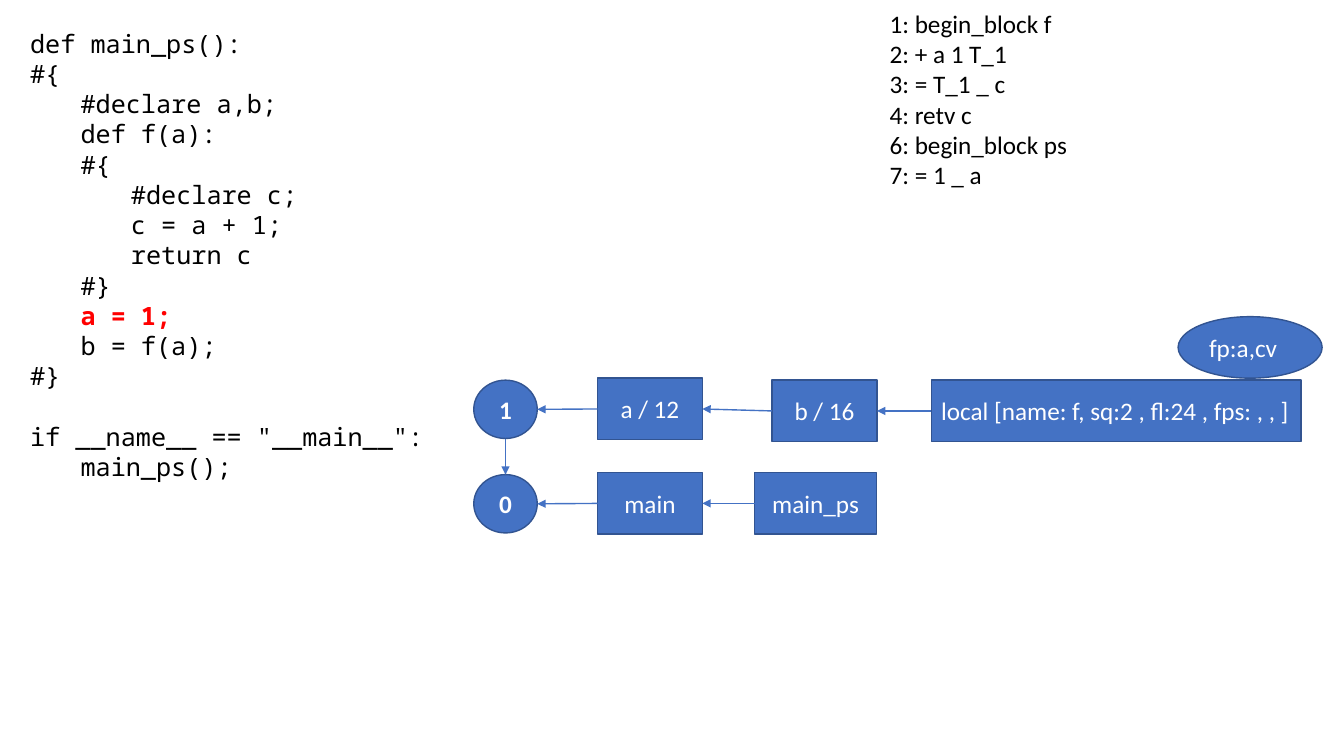
from lxml import etree
from pptx import Presentation
from pptx.dml.color import RGBColor
from pptx.enum import shapes, text
from pptx.oxml import ns
from pptx.util import Cm, Pt

BLUE, OUTLINE, BLACK, WHITE, RED = "4472C4", "325491", "000000", "FFFFFF", "FF0000"
RECTANGLE = shapes.MSO_SHAPE.RECTANGLE
OVAL = shapes.MSO_SHAPE.OVAL
CENTER = text.PP_ALIGN.CENTER
LEFT = text.PP_ALIGN.LEFT
CODE_FONT, BODY_FONT = "Noto Sans Mono", "Calibri"
BLOCK_GAP = Pt(21.6)

SOURCE_CODE = [
    "def main_ps():",
    "#{ ",
    "\t#declare a,b; ",
    "\tdef f(a):",
    "\t#{ ",
    "\t\t#declare c; ",
    "\t\tc = a + 1; ",
    "\t\treturn c ",
    "\t#} ",
    "\ta = 1; ",
    "\tb = f(a);",
    "#}",
    'if __name__ == "__main__":',
    "\tmain_ps();",
]
CURRENT_LINE = "a = 1; "
QUADS = [
    "1: begin_block f ",
    "2: + a 1 T_1 ",
    "3: = T_1 _ c",
    "4: retv c ",
    "6: begin_block ps ",
    "7: = 1 _ a ",
]


def rgb(value):
    """Turn a hex string into a colour."""
    return RGBColor.from_string(value)


def add_run(paragraph, content, font=BODY_FONT, color=BLACK, bold=False):
    """Add one formatted run to a paragraph."""
    run = paragraph.add_run()
    run.text = content
    run.font.name = font
    run.font.size = Pt(18)
    run.font.bold = bold
    run.font.color.rgb = rgb(color)


def add_listing(slide, left, top, width, height, lines, font):
    """Add a text box with one paragraph per line of the listing."""
    box = slide.shapes.add_textbox(Cm(left), Cm(top), Cm(width), Cm(height))
    frame = box.text_frame
    frame.word_wrap = True
    for index, line in enumerate(lines):
        paragraph = frame.add_paragraph() if index else frame.paragraphs[0]
        if line.startswith("if "):
            paragraph.space_before = BLOCK_GAP
        if line.strip() == CURRENT_LINE.strip():
            add_run(paragraph, "\t", font)
            add_run(paragraph, CURRENT_LINE, font, RED, bold=True)
        else:
            add_run(paragraph, line, font)


def add_node(slide, kind, left, top, width, height, label, align=CENTER, bold=False):
    """Add a blue labelled shape and return it."""
    shape = slide.shapes.add_shape(kind, Cm(left), Cm(top), Cm(width), Cm(height))
    shape.shadow.inherit = False
    shape.fill.solid()
    shape.fill.fore_color.rgb = rgb(BLUE)
    shape.line.color.rgb = rgb(OUTLINE)
    shape.line.width = Pt(1)
    frame = shape.text_frame
    frame.word_wrap = True
    frame.vertical_anchor = text.MSO_ANCHOR.MIDDLE
    paragraph = frame.paragraphs[0]
    paragraph.alignment = align
    add_run(paragraph, label, color=WHITE, bold=bold)
    return shape


def add_level(slide, top, label):
    """Add the numbered circle that heads one scope level."""
    return add_node(slide, OVAL, 11.94, top, 1.6, 1.47, label, bold=True)


def add_entry(slide, left, top, width, label, align=CENTER):
    """Add one symbol table entry."""
    return add_node(slide, RECTANGLE, left, top, width, 1.55, label, align)


def add_arrow(slide, start, end):
    """Add a thin arrow between two points."""
    connector = slide.shapes.add_connector(shapes.MSO_CONNECTOR.STRAIGHT, *start, *end)
    connector.line.color.rgb = rgb(BLUE)
    connector.line.width = Pt(1)
    line = connector.line._get_or_add_ln()
    etree.SubElement(line, ns.qn("a:tailEnd"), type="triangle")
    etree.SubElement(connector._element.spPr, ns.qn("a:effectLst"))


def link_chain(slide, nodes):
    """Point each node at the node on its left."""
    for target, source in zip(nodes, nodes[1:]):
        start = source.left, source.top + source.height // 2
        end = target.left + target.width, target.top + target.height // 2
        add_arrow(slide, start, end)


def link_down(slide, upper, lower):
    """Point the upper level at the level below it."""
    middle = upper.left + upper.width // 2
    add_arrow(slide, (middle, upper.top + upper.height), (middle, lower.top))


def main():
    """Build the slide and save it."""
    presentation = Presentation()
    presentation.slide_width, presentation.slide_height = Cm(33.87), Cm(19.05)
    slide = presentation.slides.add_slide(presentation.slide_layouts[6])

    add_listing(slide, 0.51, 0.58, 14.55, 11.79, SOURCE_CODE, CODE_FONT)
    add_listing(slide, 22.17, 0.08, 6.5, 4.88, QUADS, BODY_FONT)

    outer = [
        add_level(slide, 11.96, "0"),
        add_entry(slide, 15.06, 11.91, 2.64, "main"),
        add_entry(slide, 19.02, 11.91, 3.07, "main_ps"),
    ]
    inner = [
        add_level(slide, 9.58, "1"),
        add_entry(slide, 15.06, 9.53, 2.64, "a / 12"),
        add_entry(slide, 19.46, 9.58, 2.64, "b / 16"),
        add_entry(slide, 23.47, 9.58, 9.32, "local [name: f, sq:2 , fl:24 , fps: , , ]", LEFT),
    ]
    link_chain(slide, outer)
    link_chain(slide, inner)
    link_down(slide, inner[0], outer[0])
    add_node(slide, OVAL, 29.69, 7.98, 3.63, 1.55, "fp:a,cv ", LEFT)

    presentation.save("out.pptx")


main()
